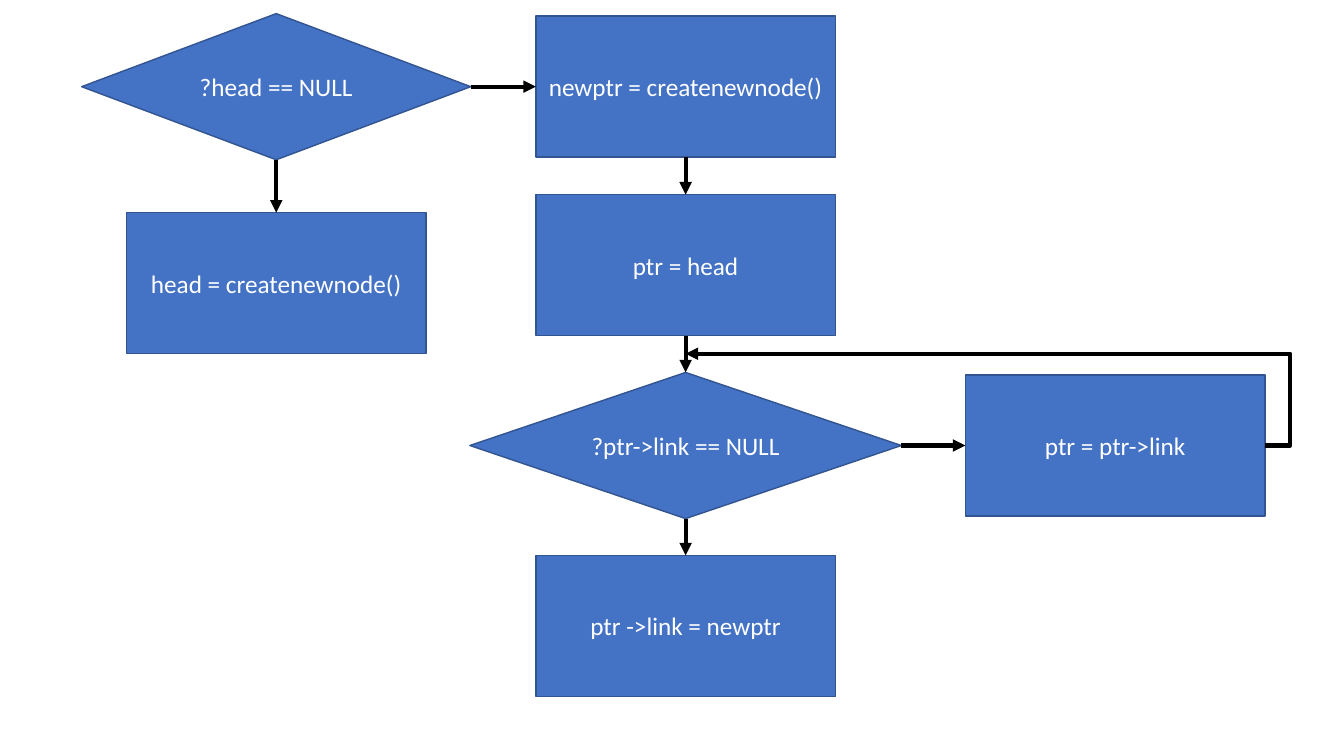
from lxml.etree import SubElement
from pptx import Presentation
from pptx.dml.color import RGBColor
from pptx.enum.shapes import MSO_CONNECTOR, MSO_SHAPE
from pptx.enum.text import MSO_ANCHOR, PP_ALIGN
from pptx.oxml.ns import qn
from pptx.util import Inches, Pt

COLORS = {"fill": "4472C4", "outline": "325491", "text": "FFFFFF", "arrow": "000000"}
TOP, LEFT, BOTTOM, RIGHT = range(4)

prs = Presentation()
prs.slide_width, prs.slide_height = Inches(13.33), Inches(7.5)
s = prs.slides.add_slide(prs.slide_layouts[6])


def add_arrow(kind, x1=0, y1=0, x2=0, y2=0):
    c = s.shapes.add_connector(kind, Inches(x1), Inches(y1), Inches(x2), Inches(y2))
    c.line.color.rgb = RGBColor.from_string(COLORS["arrow"])
    c.line.width = Pt(3)
    SubElement(c.line._get_or_add_ln(), qn("a:tailEnd"), type="triangle")
    SubElement(c._element.spPr, qn("a:effectLst"))
    return c


# Flowchart steps: centre x, centre y, width, height
DECISION, PROCESS = MSO_SHAPE.FLOWCHART_DECISION, MSO_SHAPE.FLOWCHART_PROCESS
STEP_W, STEP_H, DECISION_H = 2.97, 1.4, 1.45
COL1, COL2, COL3 = 2.74, 6.8, 11.06
steps = {
    "is_empty": (DECISION, "?head == NULL", COL1, 0.86, 3.86, DECISION_H),
    "make_head": (PROCESS, "head = createnewnode()", COL1, 2.81, STEP_W, STEP_H),
    "make_node": (PROCESS, "newptr = createnewnode()", COL2, 0.86, STEP_W, STEP_H),
    "start": (PROCESS, "ptr = head", COL2, 2.63, STEP_W, STEP_H),
    "is_last": (DECISION, "?ptr->link == NULL", COL2, 4.42, 4.28, DECISION_H),
    "append": (PROCESS, "ptr ->link = newptr", COL2, 6.21, STEP_W, STEP_H),
    "advance": (PROCESS, "ptr = ptr->link", COL3, 4.42, STEP_W, STEP_H),
}
nodes = {}
for name, (kind, text, cx, cy, w, h) in steps.items():
    sp = s.shapes.add_shape(kind, Inches(cx - w / 2), Inches(cy - h / 2), Inches(w), Inches(h))
    sp.shadow.inherit = False
    sp.fill.solid()
    sp.fill.fore_color.rgb = RGBColor.from_string(COLORS["fill"])
    sp.line.color.rgb = RGBColor.from_string(COLORS["outline"])
    sp.line.width = Pt(1)
    tf = sp.text_frame
    tf.word_wrap = True
    tf.vertical_anchor = MSO_ANCHOR.MIDDLE
    p = tf.paragraphs[0]
    p.alignment = PP_ALIGN.CENTER
    r = p.add_run()
    r.text = text
    r.font.name, r.font.size = "Calibri", Pt(18)
    r.font.color.rgb = RGBColor.from_string(COLORS["text"])
    nodes[name] = sp

# Straight arrows between steps
for begin, begin_side, end, end_side in [
    ("is_empty", BOTTOM, "make_head", TOP),
    ("is_empty", RIGHT, "make_node", LEFT),
    ("make_node", BOTTOM, "start", TOP),
    ("start", BOTTOM, "is_last", TOP),
    ("is_last", BOTTOM, "append", TOP),
    ("is_last", RIGHT, "advance", LEFT),
]:
    c = add_arrow(MSO_CONNECTOR.STRAIGHT)
    c.begin_connect(nodes[begin], begin_side)
    c.end_connect(nodes[end], end_side)

# Loop back to the list-end test, bending 0.25 inch right of the step
loop_start = COL3 + STEP_W / 2
loop = add_arrow(MSO_CONNECTOR.ELBOW, loop_start, 4.42, COL2, 3.51)
bend = round(-0.25 / (loop_start - COL2) * 100000)
guides = loop._element.spPr.find(qn("a:prstGeom")).find(qn("a:avLst"))
SubElement(guides, qn("a:gd"), name="adj1", fmla=f"val {bend}")

prs.save("out.pptx")
